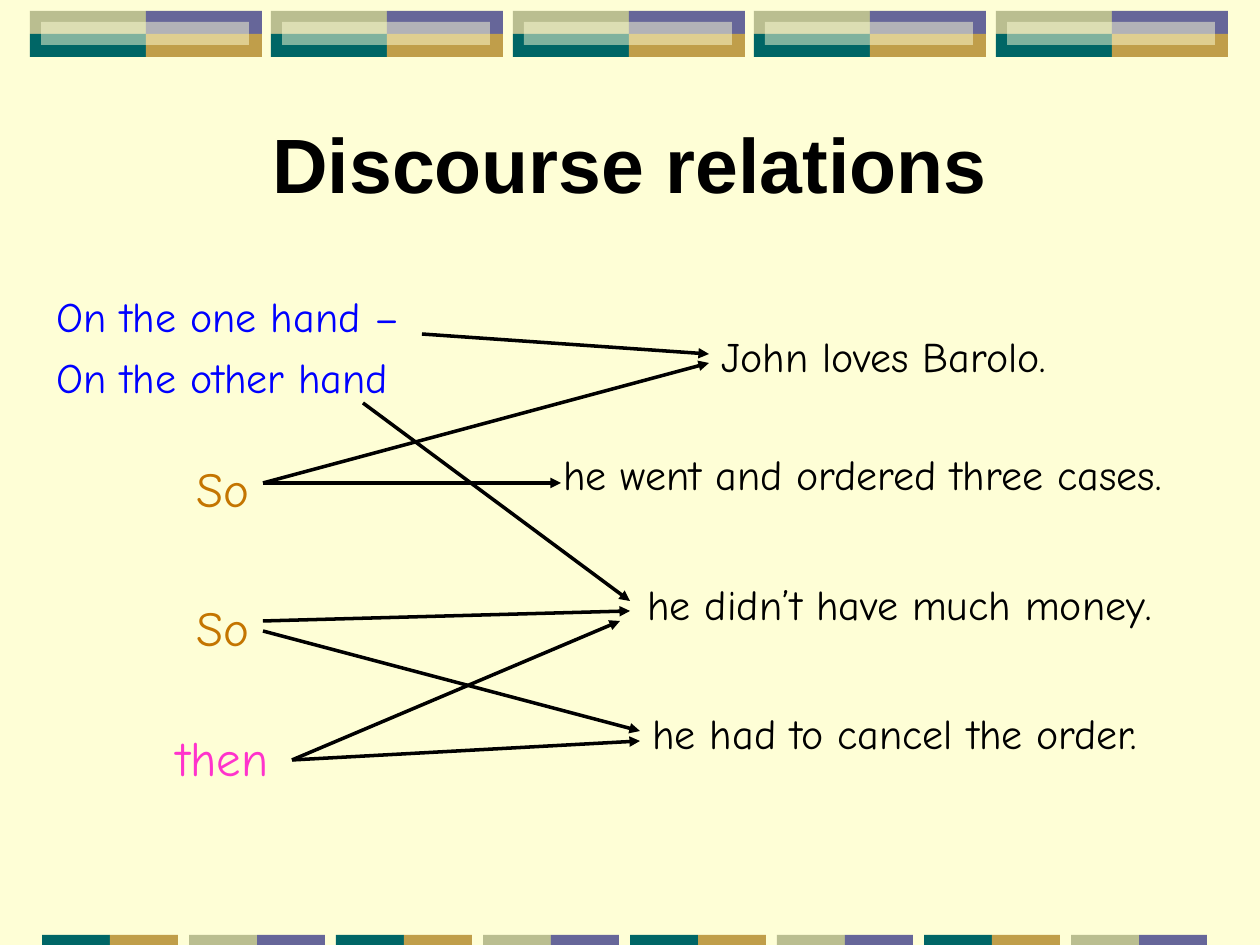
from dataclasses import dataclass
from lxml.etree import SubElement
from pptx import Presentation
from pptx.dml.color import RGBColor
from pptx.enum.shapes import MSO_CONNECTOR, MSO_SHAPE
from pptx.enum.text import MSO_ANCHOR, PP_ALIGN
from pptx.oxml.ns import qn
from pptx.util import Emu, Pt


@dataclass(frozen=True)
class Theme:
    paper: str = "FEFED6"
    ink: str = "000000"
    blue: str = "0000FF"
    amber: str = "C47500"
    pink: str = "FF33CC"
    sage: str = "BABE90"
    violet: str = "666699"
    teal: str = "006666"
    gold: str = "C09E4A"
    head: str = "Arial"
    body: str = "Comic Neue"
    title: int = 44
    cue: int = 28
    text: int = 24
    gap: int = 6
    line: int = 2


T = Theme()
WIDTH, HEIGHT = 1260, 945

TITLE = ("Discourse relations", (0, 26, 1260, 273))

# lines, box, size, colour
LABELS = [
    (["John loves Barolo."], (709, 324, 397, 79), T.text, T.ink),
    (["On the one hand –", "On the other hand"], (44, 284, 466, 139), T.text, T.blue),
    (["So"], (184, 452, 110, 79), T.cue, T.amber),
    (["So"], (184, 591, 110, 79), T.cue, T.amber),
    (["then"], (164, 721, 149, 79), T.cue, T.pink),
    (["he went and ordered three cases."], (551, 442, 704, 89), T.text, T.ink),
    (["he didn’t have much money."], (635, 572, 571, 79), T.text, T.ink),
    (["he had to cancel the order."], (640, 701, 566, 89), T.text, T.ink),
]

# start x, y, end x, y
ARROWS = [
    (422, 334, 709, 354),
    (363, 403, 630, 601),
    (263, 483, 709, 363),
    (263, 483, 561, 483),
    (263, 621, 630, 611),
    (263, 631, 640, 731),
    (292, 760, 620, 621),
    (292, 760, 640, 741),
]

TILES = dict(count=5, left=30, top=11, right=996, half=116, row=23, inset=11, inner=208)
STRIP = dict(count=8, left=42, top=935, step=147, half=68, row=10)
PAIRS = [(T.sage, T.violet), (T.teal, T.gold)]


def px(n):
    return Emu(round(n * 914400 / 126))


def rgb(code):
    return RGBColor.from_string(code)


def add_rect(group, box, color, alpha=None):
    rect = group.shapes.add_shape(MSO_SHAPE.RECTANGLE, *map(px, box))
    rect.shadow.inherit = False
    rect.line.fill.background()
    rect.fill.solid()
    rect.fill.fore_color.rgb = rgb(color)
    if alpha:
        fill = rect.fill._xPr.find(qn("a:solidFill"))
        SubElement(fill[0], qn("a:alpha"), val=str(alpha * 1000))


def add_pair(group, left, top, half, row, pair):
    for i, color in enumerate(pair):
        add_rect(group, (left + i * half, top, half, row), color)


def add_tiles(slide):
    t = TILES
    for i in range(t["count"]):
        left = t["left"] + (t["right"] - t["left"]) * i // (t["count"] - 1)
        group = slide.shapes.add_group_shape()
        for j, pair in enumerate(PAIRS):
            add_pair(group, left, t["top"] + j * t["row"], t["half"], t["row"], pair)
        inner = (left + t["inset"], t["top"] + t["inset"], t["inner"], t["row"])
        add_rect(group, inner, T.paper, alpha=50)


def add_strip(slide):
    s = STRIP
    group = slide.shapes.add_group_shape()
    for i in range(s["count"]):
        left = s["left"] + i * s["step"]
        add_pair(group, left, s["top"], s["half"], s["row"], PAIRS[(i + 1) % 2])


def add_text(slide, lines, box, size, color, font=T.body):
    frame = slide.shapes.add_textbox(*map(px, box)).text_frame
    frame.word_wrap = True
    frame.text = "\n".join(lines)
    for i, para in enumerate(frame.paragraphs):
        if i:
            para.space_before = Pt(T.gap)
        for run in para.runs:
            run.font.name = font
            run.font.size = Pt(size)
            run.font.color.rgb = rgb(color)
    return frame


def add_title(slide):
    text, box = TITLE
    frame = add_text(slide, [text], box, T.title, T.ink, T.head)
    frame.vertical_anchor = MSO_ANCHOR.MIDDLE
    para = frame.paragraphs[0]
    para.alignment = PP_ALIGN.CENTER
    para.runs[0].font.bold = True


def add_arrow(slide, ends):
    arrow = slide.shapes.add_connector(MSO_CONNECTOR.STRAIGHT, *map(px, ends))
    arrow.line.color.rgb = rgb(T.ink)
    arrow.line.width = Pt(T.line)
    SubElement(arrow.line._get_or_add_ln(), qn("a:tailEnd"), type="triangle")
    SubElement(arrow._element.spPr, qn("a:effectLst"))


def main():
    deck = Presentation()
    deck.slide_width, deck.slide_height = px(WIDTH), px(HEIGHT)
    slide = deck.slides.add_slide(deck.slide_layouts[6])
    slide.background.fill.solid()
    slide.background.fill.fore_color.rgb = rgb(T.paper)
    add_tiles(slide)
    add_strip(slide)
    add_title(slide)
    for label in LABELS:
        add_text(slide, *label)
    for ends in ARROWS:
        add_arrow(slide, ends)
    deck.save("out.pptx")


if __name__ == "__main__":
    main()
